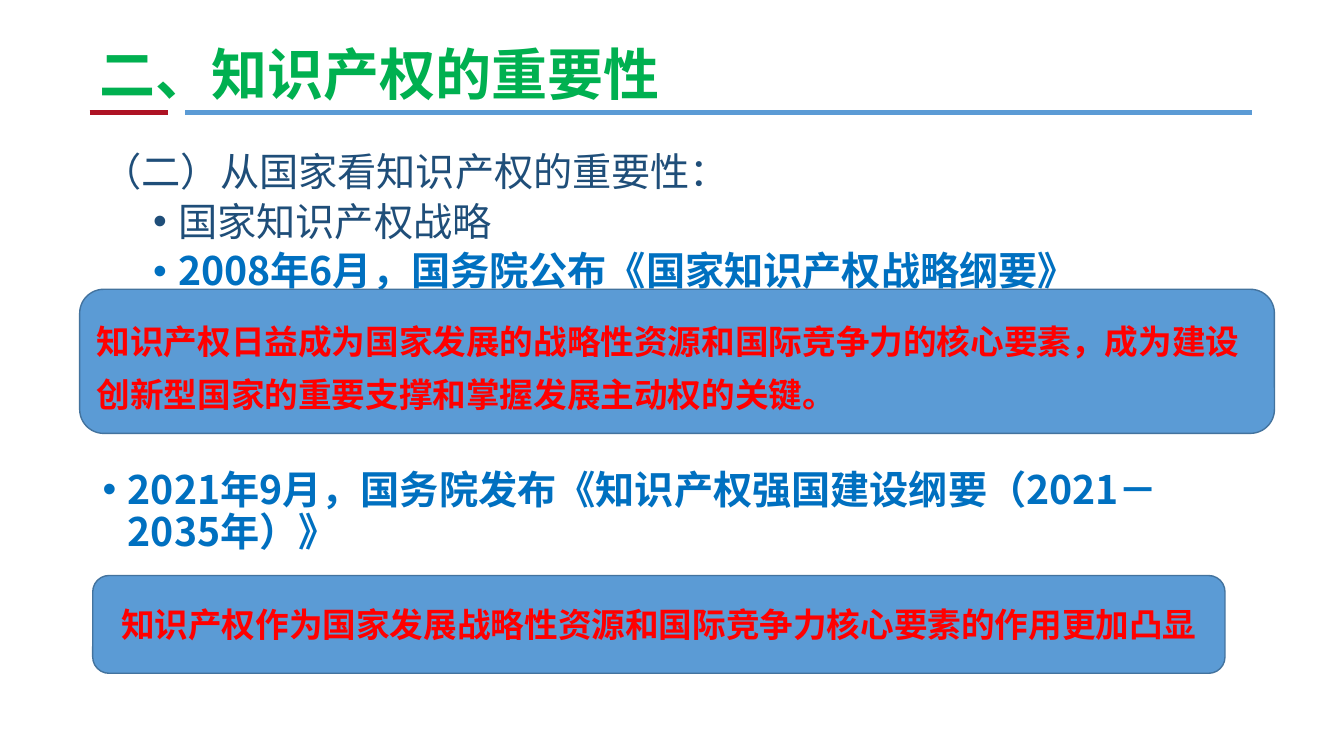
from pptx import Presentation
from pptx.dml.color import RGBColor
from pptx.enum.shapes import MSO_CONNECTOR, MSO_SHAPE
from pptx.enum.text import MSO_ANCHOR, PP_ALIGN
from pptx.oxml.ns import qn
from pptx.util import Inches, Pt

GREEN = RGBColor(0x00, 0xB0, 0x50)
CRIMSON = RGBColor(0xAE, 0x13, 0x24)
BLUE = RGBColor(0x5B, 0x9B, 0xD5)
EDGE = RGBColor(0x43, 0x73, 0x9E)
NAVY = RGBColor(0x1F, 0x4E, 0x79)
BRIGHT_BLUE = RGBColor(0x00, 0x70, 0xC0)
RED = RGBColor(0xFF, 0x00, 0x00)
CJK = "Noto Sans CJK SC"


def write(paragraph, text, size=28, color=NAVY, font=CJK, bold=False,
          align=PP_ALIGN.LEFT, line=1.0, before=0, indent=None):
    """Write one formatted paragraph; an indent in inches gives it a bullet."""
    paragraph.alignment = align
    paragraph.line_spacing = line
    paragraph.space_before = Pt(before)
    run = paragraph.add_run()
    run.text = text
    run.font.size = Pt(size)
    run.font.bold = bold
    run.font.name = font
    run.font.color.rgb = color
    latin = run.font._element.find(qn("a:latin"))
    east_asian = latin.makeelement(qn("a:ea"), {"typeface": CJK})
    latin.addnext(east_asian)
    if indent is not None:
        properties = paragraph._p.get_or_add_pPr()
        properties.set("marL", str(Inches(indent)))
        properties.set("indent", str(Inches(-0.25)))
        for tag, attributes in (("a:buFont", {"typeface": "Arial"}),
                                ("a:buChar", {"char": "•"})):
            properties.append(properties.makeelement(qn(tag), attributes))


def add_rule(slide, start, end, y, color):
    rule = slide.shapes.add_connector(MSO_CONNECTOR.STRAIGHT, Inches(start), Inches(y),
                                      Inches(end), Inches(y))
    rule.line.color.rgb = color
    rule.line.width = Pt(3.5)
    properties = rule._element.spPr
    properties.append(properties.makeelement(qn("a:effectLst"), {}))


def add_heading(slide, left, top, width, height):
    # Two-colour underline along the bottom of the heading
    bottom = top + height
    add_rule(slide, left, left + 0.78, bottom, CRIMSON)
    add_rule(slide, left + 0.95, left + width, bottom, BLUE)
    # Title
    title = slide.shapes.title
    title.left, title.top = Inches(left), Inches(top)
    title.width, title.height = Inches(width), Inches(height)
    title.text_frame.vertical_anchor = MSO_ANCHOR.BOTTOM
    write(title.text_frame.paragraphs[0], "二、知识产权的重要性", size=40,
          color=GREEN, font="Arial Narrow", bold=True, line=0.9)


def add_policies(slide, left, top, width, height):
    policies = slide.shapes.add_textbox(Inches(left), Inches(top),
                                        Inches(width), Inches(height)).text_frame
    policies.word_wrap = True
    write(policies.paragraphs[0], "（二）从国家看知识产权的重要性：",
          font="Arial", line=0.9, before=10)
    write(policies.add_paragraph(), "国家知识产权战略",
          font="Arial", line=0.9, before=5, indent=0.75)
    write(policies.add_paragraph(), "2008年6月，国务院公布《国家知识产权战略纲要》",
          color=BRIGHT_BLUE, bold=True, line=0.9, before=5, indent=0.75)
    # The wide space leaves room for the first callout
    write(policies.add_paragraph(), "2021年9月，国务院发布《知识产权强国建设纲要（2021－2035年）》",
          color=BRIGHT_BLUE, bold=True, line=0.9, before=126, indent=0.25)


def add_callout(slide, left, top, width, height, text, **text_format):
    callout = slide.shapes.add_shape(MSO_SHAPE.ROUNDED_RECTANGLE, Inches(left), Inches(top),
                                     Inches(width), Inches(height))
    callout.shadow.inherit = False
    callout.fill.solid()
    callout.fill.fore_color.rgb = BLUE
    callout.line.color.rgb = EDGE
    callout.line.width = Pt(1)
    frame = callout.text_frame
    frame.word_wrap = True
    frame.vertical_anchor = MSO_ANCHOR.MIDDLE
    write(frame.paragraphs[0], text, size=24, color=RED, bold=True, **text_format)


def main():
    deck = Presentation()
    deck.slide_width, deck.slide_height = Inches(13.33), Inches(7.5)
    slide = deck.slides.add_slide(deck.slide_layouts[5])
    add_heading(slide, 0.89, 0, 11.53, 1.12)
    add_policies(slide, 0.92, 1.47, 11.5, 5.54)
    add_callout(slide, 0.79, 2.87, 11.85, 1.43,
                "知识产权日益成为国家发展的战略性资源和国际竞争力的核心要素，"
                "成为建设创新型国家的重要支撑和掌握发展主动权的关键。", line=1.3)
    add_callout(slide, 0.92, 5.71, 11.23, 0.97,
                "知识产权作为国家发展战略性资源和国际竞争力核心要素的作用更加凸显",
                align=PP_ALIGN.CENTER)
    deck.save("out.pptx")


if __name__ == "__main__":
    main()
